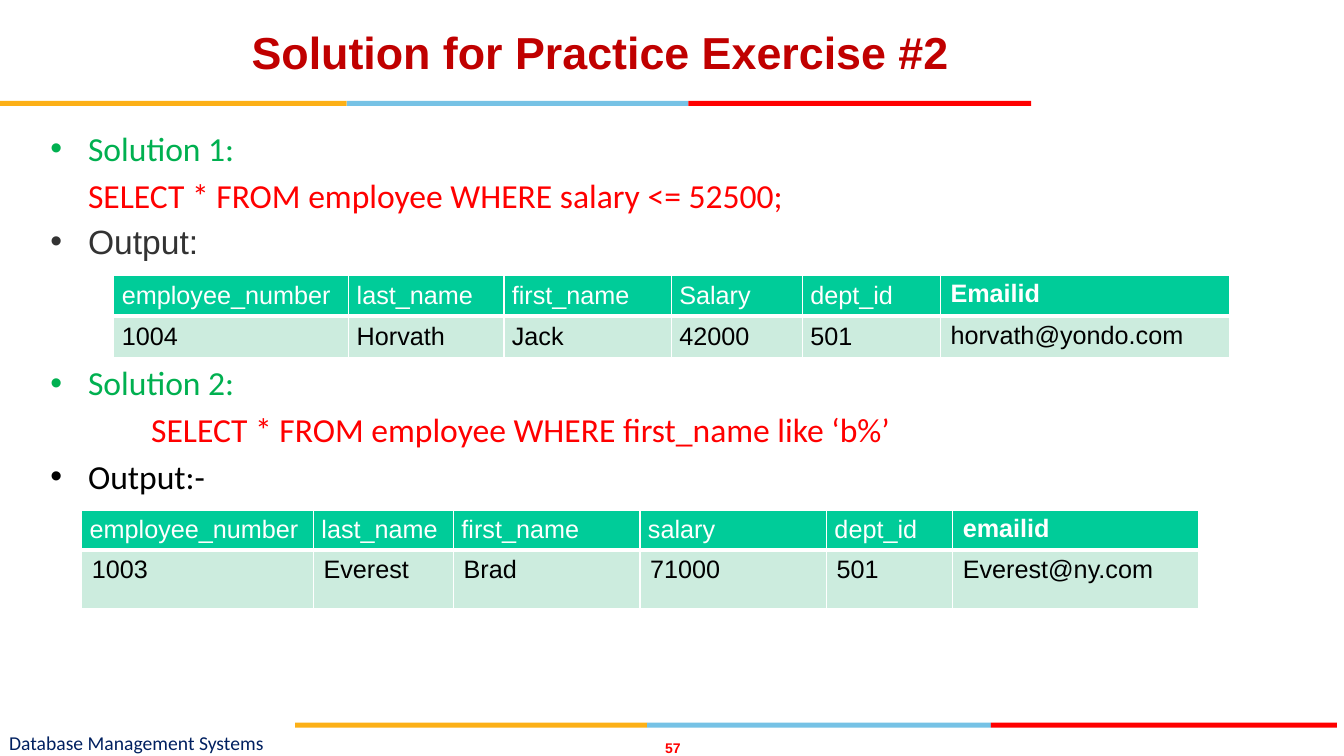
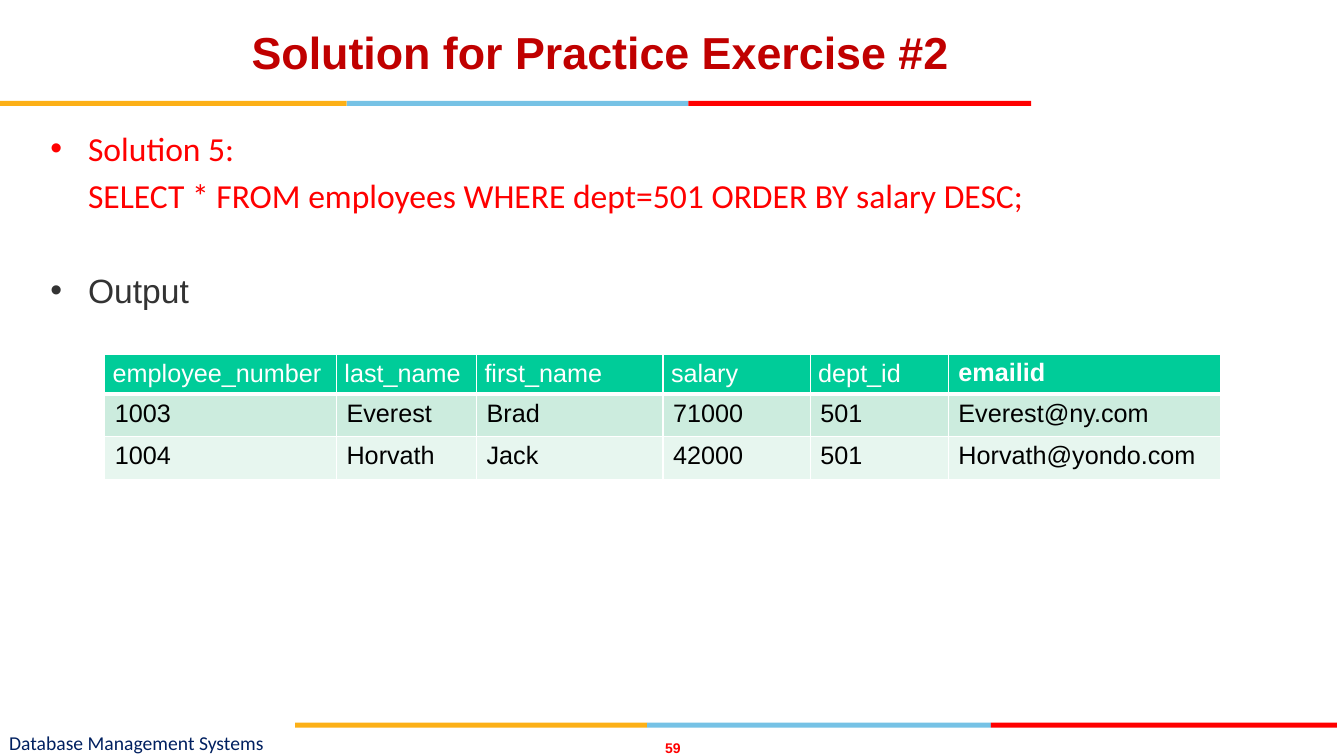
import pptx
import pptx.dml.color
import pptx.enum.shapes
import pptx.enum.text
import pptx.oxml
import pptx.oxml.ns
import pptx.util
from pptx.util import Cm

RGBColor = pptx.dml.color.RGBColor
ALIGN = pptx.enum.text.PP_ALIGN
ANCHOR = pptx.enum.text.MSO_ANCHOR

AMBER = RGBColor(0xFC, 0xB0, 0x17)
SKY = RGBColor(0x76, 0xC2, 0xE5)
RED = RGBColor(0xFF, 0x00, 0x00)
MAROON = RGBColor(0xC0, 0x00, 0x00)
NAVY = RGBColor(0x00, 0x20, 0x60)
GREEN = RGBColor(0x00, 0xB0, 0x50)
GRAY = RGBColor(0x33, 0x33, 0x33)
BLACK = RGBColor(0x00, 0x00, 0x00)
WHITE = RGBColor(0xFF, 0xFF, 0xFF)
TEAL = RGBColor(0x00, 0xCC, 0x99)
MINT = RGBColor(0xCC, 0xEC, 0xDE)
PALE = RGBColor(0xE7, 0xF6, 0xEF)

HEAD = "Solution for Practice Exercise #2"
FOOT = "Database Management Systems"
INDENT = Cm(0.95)
GAP = 4.5


class Deck:
    """Holds the shared style and the slide being built."""

    def __init__(self):
        self.prs = pptx.Presentation()
        self.prs.slide_width = Cm(33.87)
        self.prs.slide_height = Cm(19.05)
        self.slide = None

    def start(self, number):
        """Open a slide with its title, colour bands and footer."""
        self.slide = self.prs.slides.add_slide(self.prs.slide_layouts[5])
        self.band(0, 2.54, (8.74, 8.61, 8.64))
        self.band(7.44, 18.21, (8.87, 8.66, 8.72))
        self.label(str(number), (16.54, 18.62, 0.84, 0.43),
                   10, "Arial", RED, bold=True, align=ALIGN.CENTER)
        self.label(FOOT, (0.23, 18.36, 12.6, 0.69), 14, "Calibri", NAVY)
        self.title(HEAD)

    def style(self, para, size, face, color, bold=False):
        font = para.font
        font.size = pptx.util.Pt(size)
        font.name = face
        font.bold = bold
        font.color.rgb = color

    def title(self, text):
        shape = self.slide.shapes.title
        shape.left, shape.top = Cm(0.53), Cm(0.38)
        shape.width, shape.height = Cm(29.21), Cm(1.85)
        frame = shape.text_frame
        frame.text = text
        frame.vertical_anchor = ANCHOR.MIDDLE
        para = frame.paragraphs[0]
        para.alignment = ALIGN.CENTER
        self.style(para, 32, "Arial", MAROON, bold=True)

    def band(self, left, top, widths):
        for width, color in zip(widths, (AMBER, SKY, RED)):
            bar = self.slide.shapes.add_shape(
                pptx.enum.shapes.MSO_SHAPE.RECTANGLE,
                Cm(left), Cm(top), Cm(width), Cm(0.13))
            bar.shadow.inherit = False
            bar.fill.solid()
            bar.fill.fore_color.rgb = color
            bar.line.fill.background()
            left += width

    def frame(self, box):
        shape = self.slide.shapes.add_textbox(*map(Cm, box))
        shape.text_frame.word_wrap = True
        return shape.text_frame

    def label(self, text, box, size, face, color, bold=False, align=ALIGN.LEFT):
        frame = self.frame(box)
        frame.margin_left = frame.margin_right = 0
        frame.margin_top = frame.margin_bottom = 0
        frame.vertical_anchor = ANCHOR.MIDDLE
        frame.text = text
        para = frame.paragraphs[0]
        para.alignment = align
        self.style(para, size, face, color, bold)

    def body(self, lines):
        """Each line is (text, face, colour, left indent or None for a bullet, space before)."""
        frame = self.frame((1.02, 3.1, 31.14, 13.92))
        for i, (text, face, color, left, gap) in enumerate(lines):
            para = frame.add_paragraph() if i else frame.paragraphs[0]
            para.text = text
            props = para._p.get_or_add_pPr()
            if left is None:
                props.set("marL", str(INDENT))
                props.set("indent", str(-INDENT))
                font = pptx.oxml.parse_xml(
                    f'<a:buFont {pptx.oxml.ns.nsdecls("a")} typeface="Arial"/>')
                mark = pptx.oxml.parse_xml(
                    f'<a:buChar {pptx.oxml.ns.nsdecls("a")} char="•"/>')
                props.extend((font, mark))
            else:
                props.set("marL", str(left))
            para.space_before = pptx.util.Pt(gap)
            self.style(para, 24, face, color)

    def border(self, cell, bottom):
        props = cell._tc.get_or_add_tcPr()
        for i, (side, width) in enumerate(
                (("L", 1), ("R", 1), ("T", 1), ("B", bottom))):
            props.insert(i, pptx.oxml.parse_xml(
                f'<a:ln{side} {pptx.oxml.ns.nsdecls("a")} w="{pptx.util.Pt(width)}">'
                f'<a:solidFill><a:srgbClr val="{WHITE}"/></a:solidFill></a:ln{side}>'))

    def table(self, left, top, widths, heights, rows, tight=1):
        """Add a table; the first `tight` rows have small margins, save in the last column."""
        grid = self.slide.shapes.add_table(
            len(rows), len(widths), Cm(left), Cm(top),
            Cm(sum(widths)), Cm(sum(heights))).table
        grid.horz_banding = False
        for col, width in zip(grid.columns, widths):
            col.width = Cm(width)
        for r, (row, height) in enumerate(zip(rows, heights)):
            grid.rows[r].height = Cm(height)
            for c, text in enumerate(row):
                cell = grid.cell(r, c)
                last = c == len(row) - 1
                cell.text = text
                cell.fill.solid()
                cell.fill.fore_color.rgb = (TEAL, MINT, PALE)[r]
                if r < tight and not last:
                    cell.margin_left = cell.margin_right = Cm(0.2)
                    cell.margin_top = cell.margin_bottom = Cm(0.08)
                    cell.vertical_anchor = ANCHOR.MIDDLE
                self.border(cell, 1 if r else 3)
                self.style(cell.text_frame.paragraphs[0], 18, "Arial",
                           BLACK if r else WHITE, bold=last and r == 0)


def main():
    deck = Deck()
    names = ("employee_number", "last_name", "first_name")
    heads = (*names, "salary", "dept_id", "emailid")
    brad = ("1003", "Everest", "Brad", "71000", "501", "Everest@ny.com")
    jack = ("1004", "Horvath", "Jack", "42000", "501")

    deck.start(57)
    deck.body((
        ("Solution 1:", "Calibri", GREEN, None, 0),
        ("SELECT * FROM employee WHERE salary <= 52500;",
         "Calibri", RED, INDENT, GAP),
        ("Output:", "Arial", GRAY, None, GAP),
        ("Solution 2:", "Calibri", GREEN, None, 72),
        ("SELECT * FROM employee WHERE first_name like ‘b%’",
         "Calibri", RED, Cm(2.54), GAP),
        ("Output:-", "Calibri", BLACK, None, GAP),
    ))
    deck.table(2.06, 12.85, (5.84, 3.53, 4.7, 4.7, 3.18, 6.2), (0.99, 1.47),
               (heads, brad))
    deck.table(2.87, 6.93, (5.92, 3.91, 4.22, 3.3, 3.48, 7.29), (1.04, 1.04),
               ((*names, "Salary", "dept_id", "Emailid"),
                (*jack, "horvath@yondo.com")), tight=2)

    deck.start(59)
    deck.body((
        ("Solution 5:", "Calibri", RED, None, 0),
        ("SELECT * FROM employees WHERE dept=501 ORDER BY salary DESC;",
         "Calibri", RED, INDENT, GAP),
        ("Output", "Arial", GRAY, None, 39),
    ))
    deck.table(2.64, 8.92, (5.84, 3.53, 4.7, 3.71, 3.48, 6.86),
               (0.99, 1.07, 1.07), (heads, brad, (*jack, "Horvath@yondo.com")))

    deck.prs.save("out.pptx")


if __name__ == "__main__":
    main()
